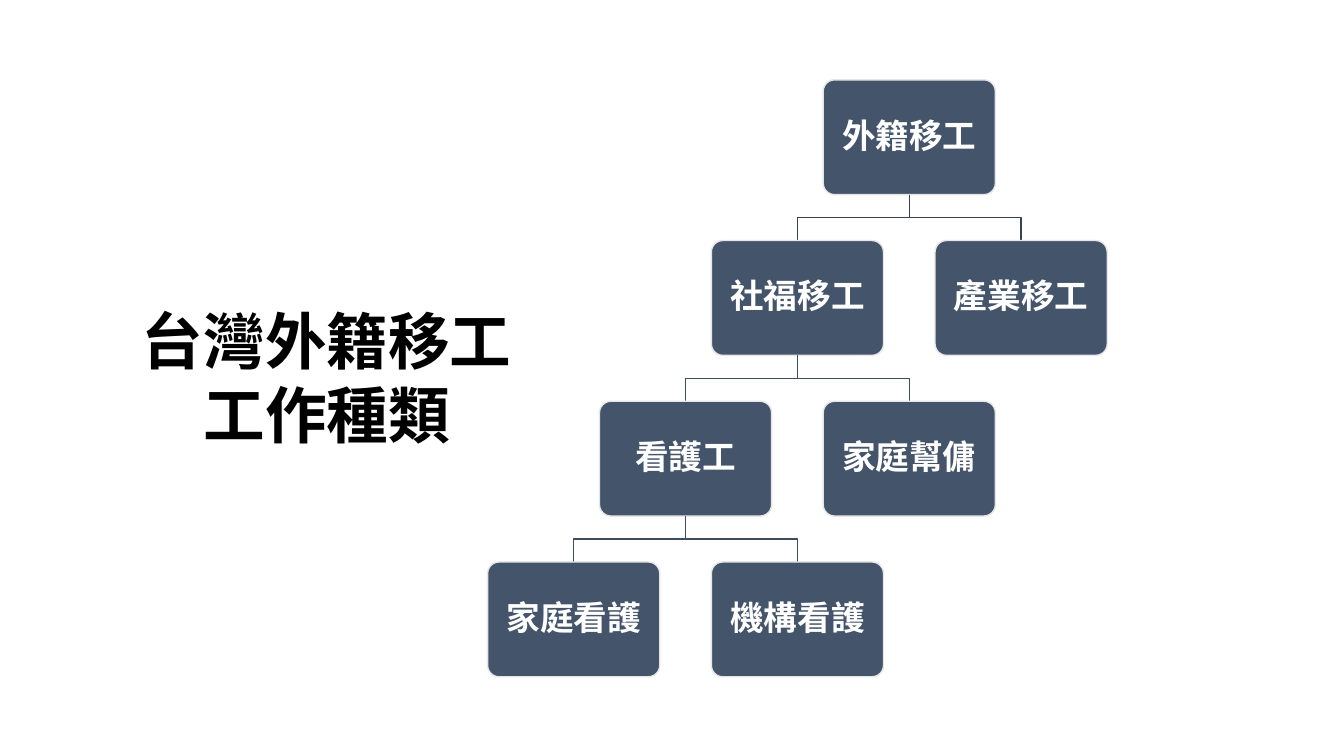
from dataclasses import dataclass

from lxml.etree import SubElement
from pptx import Presentation
from pptx.dml.color import RGBColor as Rgb
from pptx.enum.shapes import MSO_SHAPE as Preset
from pptx.enum.text import MSO_ANCHOR as Anchor, MSO_AUTO_SIZE as AutoSize, PP_ALIGN as Align
from pptx.oxml.ns import qn
from pptx.slide import Slide
from pptx.text.text import TextFrame
from pptx.util import Pt

FONT = "Noto Sans CJK SC"
COLORS = {
    "box": "44546A",
    "border": "E7E6E6",
    "upper_branch": "364355",
    "lower_branch": "3E4C60",
    "label": "FFFFFF",
    "title": "000000",
}
BOX_WIDTH, BOX_HEIGHT = 123, 82
ROOT_CENTER, ROOT_TOP = 649.5, 57
COLUMN_STEP, LEVEL_STEP = 79.9, 114.8


@dataclass
class Job:
    label: str
    column: int  # half-steps to the right of the root
    level: int
    parent: "Job | None" = None

    @property
    def center(self) -> float:
        return ROOT_CENTER + self.column * COLUMN_STEP

    @property
    def top(self) -> float:
        return ROOT_TOP + self.level * LEVEL_STEP

    @property
    def bottom(self) -> float:
        return self.top + BOX_HEIGHT


def color(name: str) -> Rgb:
    return Rgb.from_string(COLORS[name])


def write_text(frame: TextFrame, text: str, size: int, color_name: str) -> None:
    frame.text = text
    frame.word_wrap = True
    para = frame.paragraphs[0]
    para.alignment = Align.CENTER
    span = para.runs[0]
    span.font.size = Pt(size)
    span.font.bold = True
    span.font.color.rgb = color(color_name)
    span.font.name = FONT
    SubElement(span._r.get_or_add_rPr(), qn("a:ea"), typeface=FONT)


def draw_branch(page: Slide, parent: Job, child: Job) -> None:
    """Draw the elbow line from a parent box down to a child box."""
    middle = (parent.bottom + child.top) / 2
    builder = page.shapes.build_freeform(Pt(parent.center), Pt(parent.bottom))
    builder.add_line_segments(
        [
            (Pt(parent.center), Pt(middle)),
            (Pt(child.center), Pt(middle)),
            (Pt(child.center), Pt(child.top)),
        ],
        close=False,
    )
    branch = builder.convert_to_shape()
    branch.shadow.inherit = False
    branch.fill.background()
    branch.line.color.rgb = color("lower_branch" if parent.level else "upper_branch")
    branch.line.width = Pt(1)


def draw_job(page: Slide, job: Job) -> None:
    box = page.shapes.add_shape(
        Preset.ROUNDED_RECTANGLE,
        Pt(job.center - BOX_WIDTH / 2), Pt(job.top), Pt(BOX_WIDTH), Pt(BOX_HEIGHT),
    )
    box.adjustments[0] = 0.1
    box.shadow.inherit = False
    box.fill.solid()
    box.fill.fore_color.rgb = color("box")
    box.line.color.rgb = color("border")
    box.line.width = Pt(1)
    frame = box.text_frame
    frame.vertical_anchor = Anchor.MIDDLE
    write_text(frame, job.label, 24, "label")
    frame.paragraphs[0].line_spacing = 0.9


def draw_title(page: Slide, text: str) -> None:
    box = page.shapes.add_textbox(Pt(77), Pt(213), Pt(313), Pt(114))
    write_text(box.text_frame, text, 44, "title")
    box.text_frame.auto_size = AutoSize.SHAPE_TO_FIT_TEXT


def main() -> None:
    migrants = Job("外籍移工", 0, 0)
    welfare = Job("社福移工", -1, 1, migrants)
    carers = Job("看護工", -2, 2, welfare)
    jobs = [
        migrants,
        welfare,
        carers,
        Job("家庭看護", -3, 3, carers),
        Job("機構看護", -1, 3, carers),
        Job("家庭幫傭", 0, 2, welfare),
        Job("產業移工", 1, 1, migrants),
    ]

    deck = Presentation()
    deck.slide_width, deck.slide_height = Pt(960), Pt(540)
    page = deck.slides.add_slide(deck.slide_layouts[6])
    for job in jobs:
        if job.parent:
            draw_branch(page, job.parent, job)
        draw_job(page, job)
    draw_title(page, "台灣外籍移工工作種類")
    deck.save("out.pptx")


if __name__ == "__main__":
    main()
